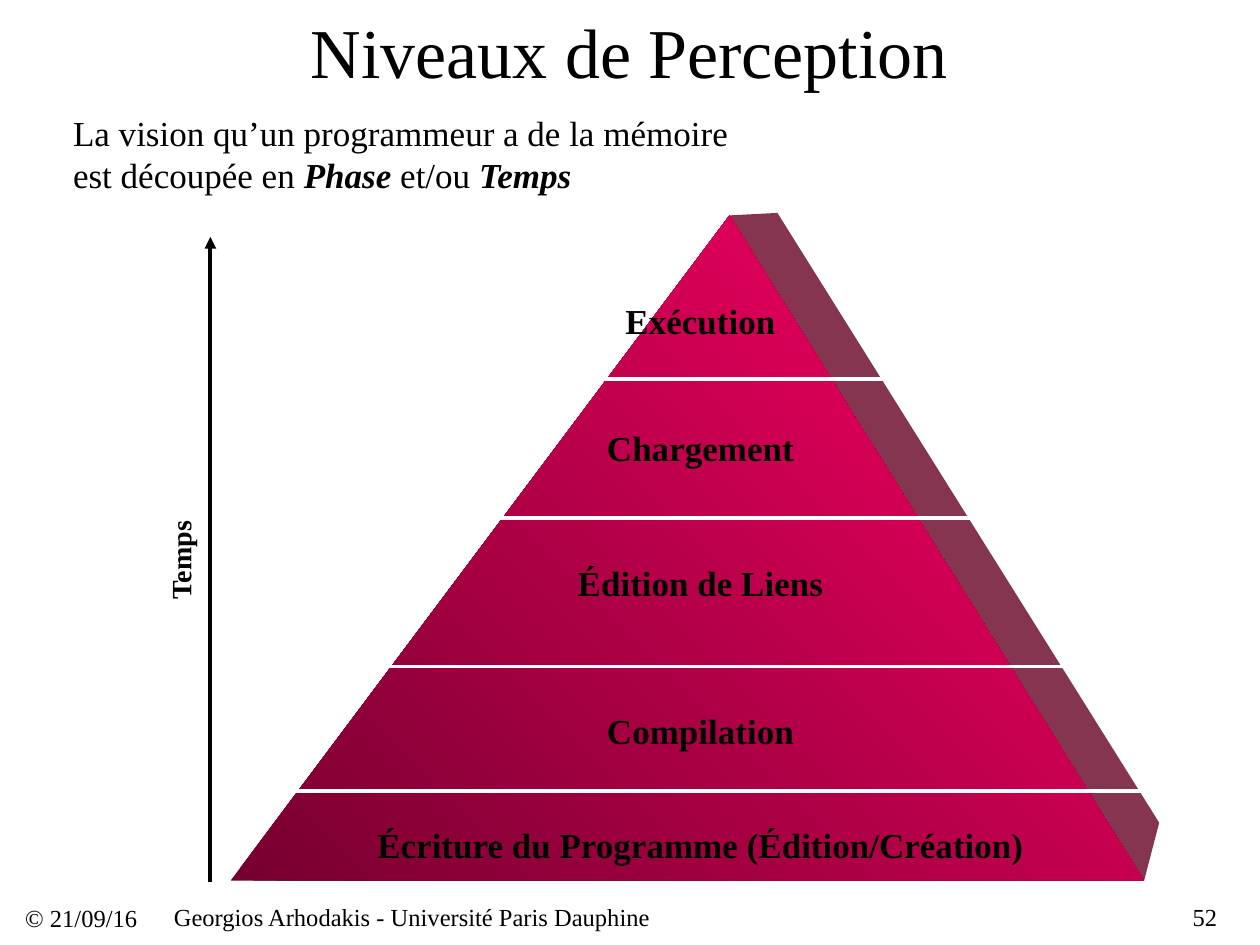
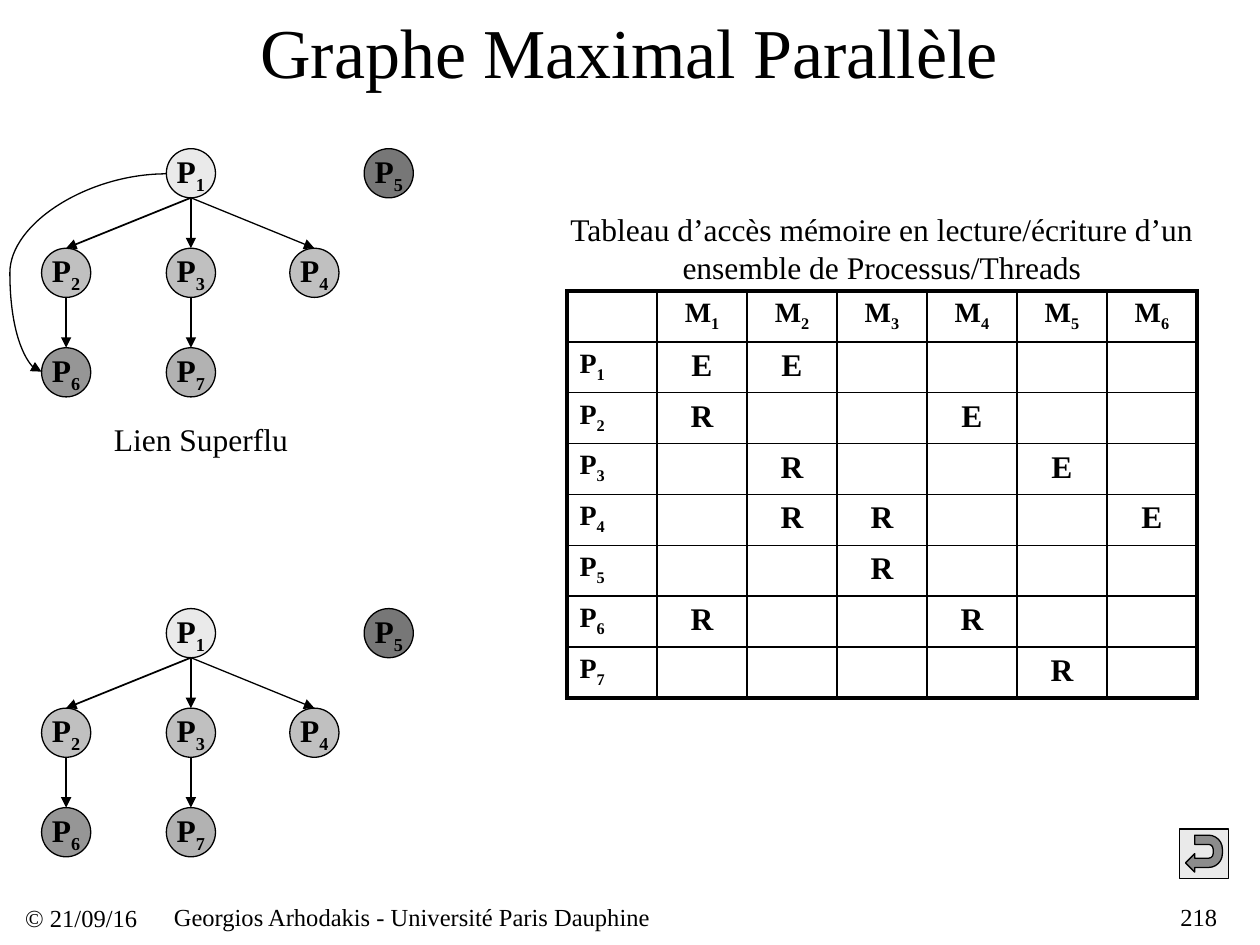
"""Build two course slides: a pyramid of perception levels and a maximal parallel graph."""
from lxml import etree
from pptx import Presentation
from pptx.dml.color import RGBColor
from pptx.enum.shapes import MSO_CONNECTOR, MSO_SHAPE
from pptx.enum.text import MSO_ANCHOR, PP_ALIGN
from pptx.oxml.ns import qn
from pptx.util import Inches, Pt

FONT = "Times New Roman"
BLACK, WHITE = "000000", "FFFFFF"
LEFT, CENTER, RIGHT = PP_ALIGN.LEFT, PP_ALIGN.CENTER, PP_ALIGN.RIGHT
MIDDLE, TOP = MSO_ANCHOR.MIDDLE, MSO_ANCHOR.TOP
STRAIGHT, CURVE = MSO_CONNECTOR.STRAIGHT, MSO_CONNECTOR.CURVE
CIRCLE, RETURN_BUTTON = MSO_SHAPE.FLOWCHART_CONNECTOR, MSO_SHAPE.ACTION_BUTTON_RETURN


def write(holder, size, runs, align=LEFT, margin=0.0, anchor=MIDDLE, wrap=True):
    """Write (text, style) runs, where style may hold b, i and s for subscript."""
    frame = holder.text_frame
    if wrap is not None:
        frame.word_wrap = wrap
    holder_margins = holder if hasattr(holder, "margin_left") else frame
    holder_margins.margin_left = holder_margins.margin_right = Inches(margin)
    holder_margins.margin_top = holder_margins.margin_bottom = Inches(margin / 2)
    holder_margins.vertical_anchor = anchor
    paragraph = frame.paragraphs[0]
    paragraph.alignment = align
    for text, style in runs:
        run = paragraph.add_run()
        run.text = text
        run.font.name, run.font.size = FONT, Pt(size)
        run.font.bold, run.font.italic = "b" in style, "i" in style
        run.font.color.rgb = RGBColor.from_string(BLACK)
        if "s" in style:
            run._r.get_or_add_rPr().set("baseline", "-25000")


def connect(slide, start, end, width, color=BLACK, arrow=True, kind=STRAIGHT):
    """Draw a connector between two points in inches."""
    connector = slide.shapes.add_connector(kind, *[Inches(v) for v in (*start, *end)])
    connector.line.color.rgb = RGBColor.from_string(color)
    connector.line.width = Pt(width)
    if arrow:
        etree.SubElement(connector.line._get_or_add_ln(), qn("a:tailEnd"), type="triangle")
    etree.SubElement(connector._element.spPr, qn("a:effectLst"))
    return connector


prs = Presentation()
prs.slide_width, prs.slide_height = Inches(10), Inches(7.5)

slides = []
for title, number in [("Niveaux de Perception", "52"), ("Graphe Maximal Parallèle", "218")]:
    slide = prs.slides.add_slide(prs.slide_layouts[6])
    slides.append(slide)
    for text, left, top, width, height, size, align, margin in [
        ("© 21/09/16", 0.2, 7.05, 1.08, 0.47, 14, LEFT, 0),
        ("Georgios Arhodakis - Université Paris Dauphine", 1.38, 7.16, 6.83, 0.23, 14, LEFT, 0),
        (number, 8.66, 7.16, 1, 0.23, 14, RIGHT, 0),
        (title, 0.33, 0, 9.33, 0.8, 40, CENTER, 0.1),
    ]:
        box = slide.shapes.add_textbox(Inches(left), Inches(top), Inches(width), Inches(height))
        write(box, size, [(text, "")], align, margin)
perception, graph = slides

pyramid_side = [(5.79, 1.71), (6.17, 1.69), (9.2, 6.53), (9.08, 6.99)]
pyramid_front = [(5.79, 1.71), (9.08, 6.99), (1.83, 6.99)]
for outline in (pyramid_side, pyramid_front):
    points = [(Inches(x), Inches(y)) for x, y in outline]
    builder = perception.shapes.build_freeform(*points[0])
    builder.add_line_segments(points[1:], close=True)
    face = builder.convert_to_shape()
    face.shadow.inherit = False
    face.line.fill.background()
    if outline is pyramid_side:
        face.fill.solid()
        face.fill.fore_color.rgb = RGBColor.from_string("853550")
    else:
        face.fill.gradient()
        face.fill.gradient_angle = 45
        for stop, color in zip(face.fill.gradient_stops, ("76002F", "FF0066")):
            stop.color.rgb = RGBColor.from_string(color)

for level, top in [
    ("Écriture du Programme (Édition/Création)", 6.49),
    ("Compilation", 5.58),
    ("Édition de Liens", 4.41),
    ("Chargement", 3.34),
    ("Exécution", 2.33),
]:
    box = perception.shapes.add_textbox(Inches(2.88), Inches(top), Inches(5.36), Inches(0.43))
    write(box, 20, [(level, "b")], CENTER, 0.1)
for y in (3.01, 4.11, 5.29, 6.28):
    connect(perception, (2.02, y), (9.11, y), 2.25, WHITE, arrow=False)

connect(perception, (1.67, 7), (1.67, 1.88), 2.25)
time_label = perception.shapes.add_textbox(Inches(-1.13), Inches(4.26), Inches(5.12), Inches(0.37))
time_label.rotation = 270
write(time_label, 16, [("Temps", "b")], CENTER, 0.1)
vision = perception.shapes.add_textbox(Inches(0.58), Inches(0.88), Inches(5.25), Inches(0.67))
write(vision, 20, [
    ("La vision qu’un programmeur a de la mémoire est découpée en ", ""),
    ("Phase", "bi"), (" et/ou ", ""), ("Temps", "bi"),
])

DIAMETER, ROW_STEP = 0.39, 0.79
processes = {
    "1": (1.32, 0, "EAEAEA"), "2": (0.33, 1, "C0C0C0"), "3": (1.32, 1, "C0C0C0"),
    "4": (2.3, 1, "C0C0C0"), "5": (2.89, 0, "777777"), "6": (0.33, 2, "969696"),
    "7": (1.32, 2, "B2B2B2"),
}
dependencies = [("1", "2", 1), ("1", "3", 0.75), ("1", "4", 0.75), ("2", "6", 1), ("3", "7", 1)]
for graph_top in (1.18, 4.83):
    for index, (left, row, color) in processes.items():
        process = graph.shapes.add_shape(
            CIRCLE, Inches(left), Inches(graph_top + row * ROW_STEP), Inches(DIAMETER), Inches(DIAMETER))
        process.shadow.inherit = False
        process.fill.solid()
        process.fill.fore_color.rgb = RGBColor.from_string(color)
        process.line.color.rgb = RGBColor.from_string(BLACK)
        process.line.width = Pt(0.75)
        write(process, 18, [("P", "b"), (index, "bs")], CENTER, wrap=False)
    for parent, child, width in dependencies:
        (parent_left, parent_row, _), (child_left, child_row, _) = processes[parent], processes[child]
        start = (parent_left + DIAMETER / 2, graph_top + parent_row * ROW_STEP + DIAMETER)
        end = (child_left + DIAMETER / 2, graph_top + child_row * ROW_STEP)
        connect(graph, start, end, width)

superfluous = connect(graph, (1.32, 1.38), (0.33, 2.95), 0.75, kind=CURVE)
bends = superfluous._element.spPr.find(qn("a:prstGeom")).get_or_add_avLst()
etree.SubElement(bends, qn("a:gd"), name="adj1", fmla="val 125400")

for text, left, top, width, height in [
    ("Lien Superflu", 0.42, 3.33, 2.35, 0.3),
    ("Tableau d’accès mémoire en lecture/écriture d’un ensemble de Processus/Threads", 4.5, 1.67, 5, 0.6),
]:
    box = graph.shapes.add_textbox(Inches(left), Inches(top), Inches(width), Inches(height))
    write(box, 18, [(text, "")], CENTER)

accesses = ["EE....", "R..E..", ".R..E.", ".RR..E", "..R...", "R..R..", "....R."]
ROWS, COLS = len(accesses) + 1, len(accesses[0]) + 1
table = graph.shapes.add_table(ROWS, COLS, Inches(4.5), Inches(2.31), Inches(5), Inches(3.2)).table
table.first_row = table.horz_banding = False
for column in table.columns:
    column.width = Inches(5 / COLS)
for row in table.rows:
    row.height = Inches(3.2 / ROWS)
for r in range(ROWS):
    for c in range(COLS):
        cell = table.cell(r, c)
        cell.fill.background()
        size, align, runs = 18, CENTER, []
        if r == 0 and c > 0:
            size, runs = 16, [("M", "b"), (str(c), "bs")]
        elif r > 0 and c == 0:
            size, align, runs = 16, LEFT, [("P", "b"), (str(r), "bs")]
        elif r > 0 and accesses[r - 1][c - 1] != ".":
            runs = [(accesses[r - 1][c - 1], "b")]
        write(cell, size, runs, align, 0.1, TOP, wrap=None)
        outer_edges = [("L", c == 0), ("R", c == COLS - 1), ("T", r == 0), ("B", r == ROWS - 1)]
        properties = cell._tc.get_or_add_tcPr()
        for position, (side, outer) in enumerate(outer_edges):
            border = etree.Element(qn(f"a:ln{side}"), w=str(Pt(2.25 if outer else 1)))
            fill = etree.SubElement(border, qn("a:solidFill"))
            etree.SubElement(fill, qn("a:srgbClr"), val=BLACK)
            properties.insert(position, border)

back = graph.shapes.add_shape(RETURN_BUTTON, Inches(9.36), Inches(6.58), Inches(0.39), Inches(0.39))
back.shadow.inherit = False
back.rotation = 270
back._element.spPr.find(qn("a:xfrm")).set("flipH", "1")
back.fill.solid()
back.fill.fore_color.rgb = RGBColor.from_string("EAEAEA")
back.line.color.rgb = RGBColor.from_string(BLACK)
back.line.width = Pt(0.75)

prs.save("out.pptx")
